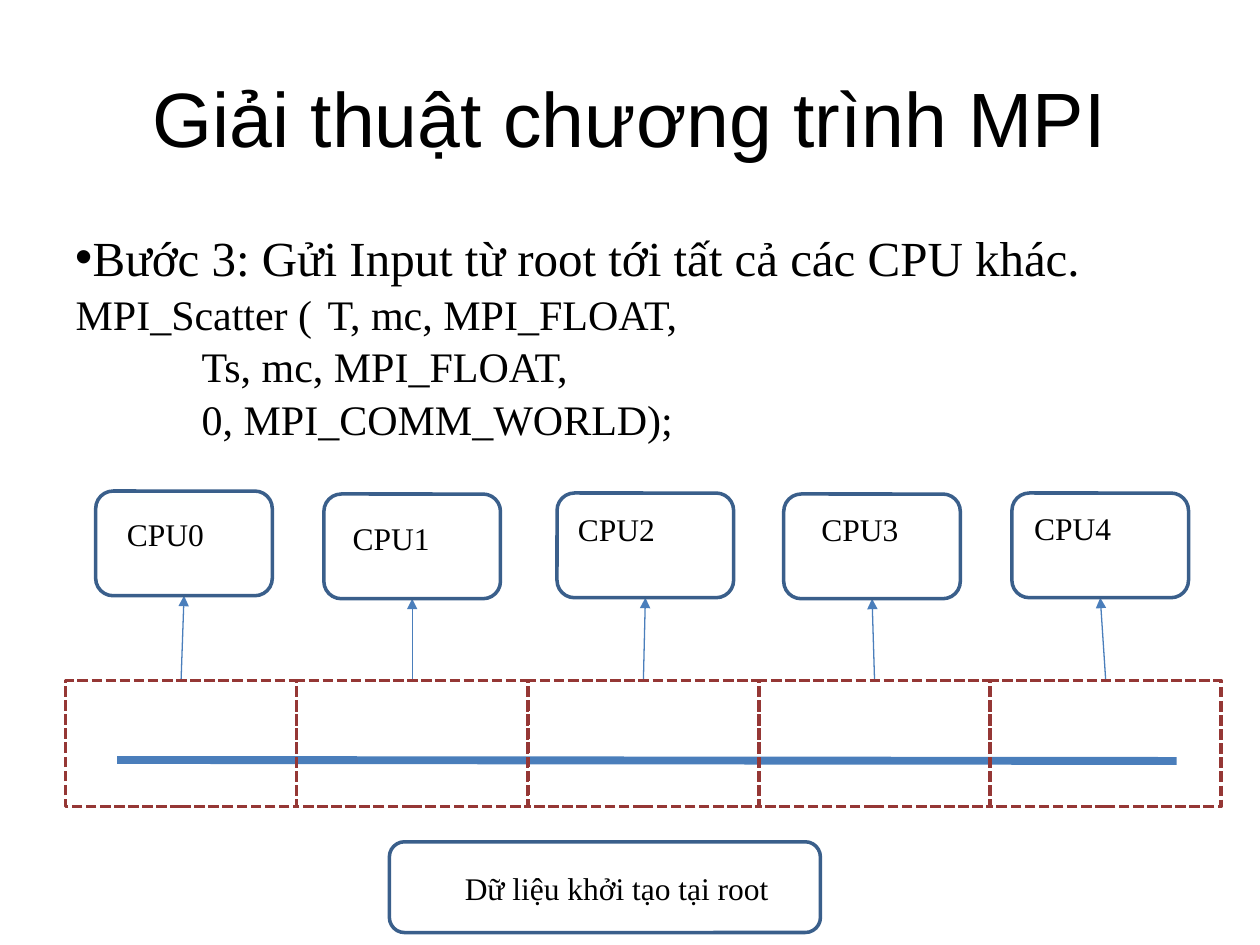
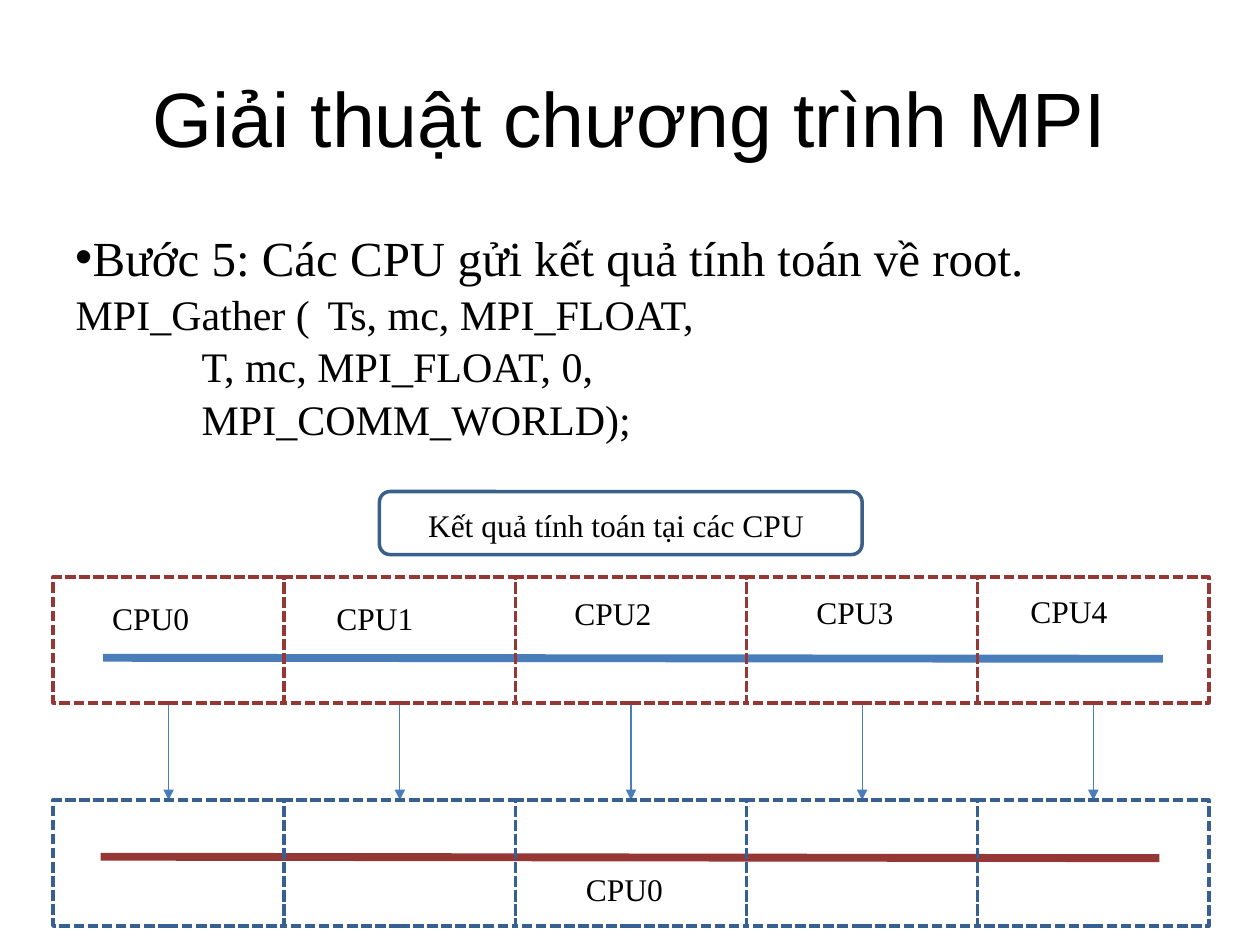
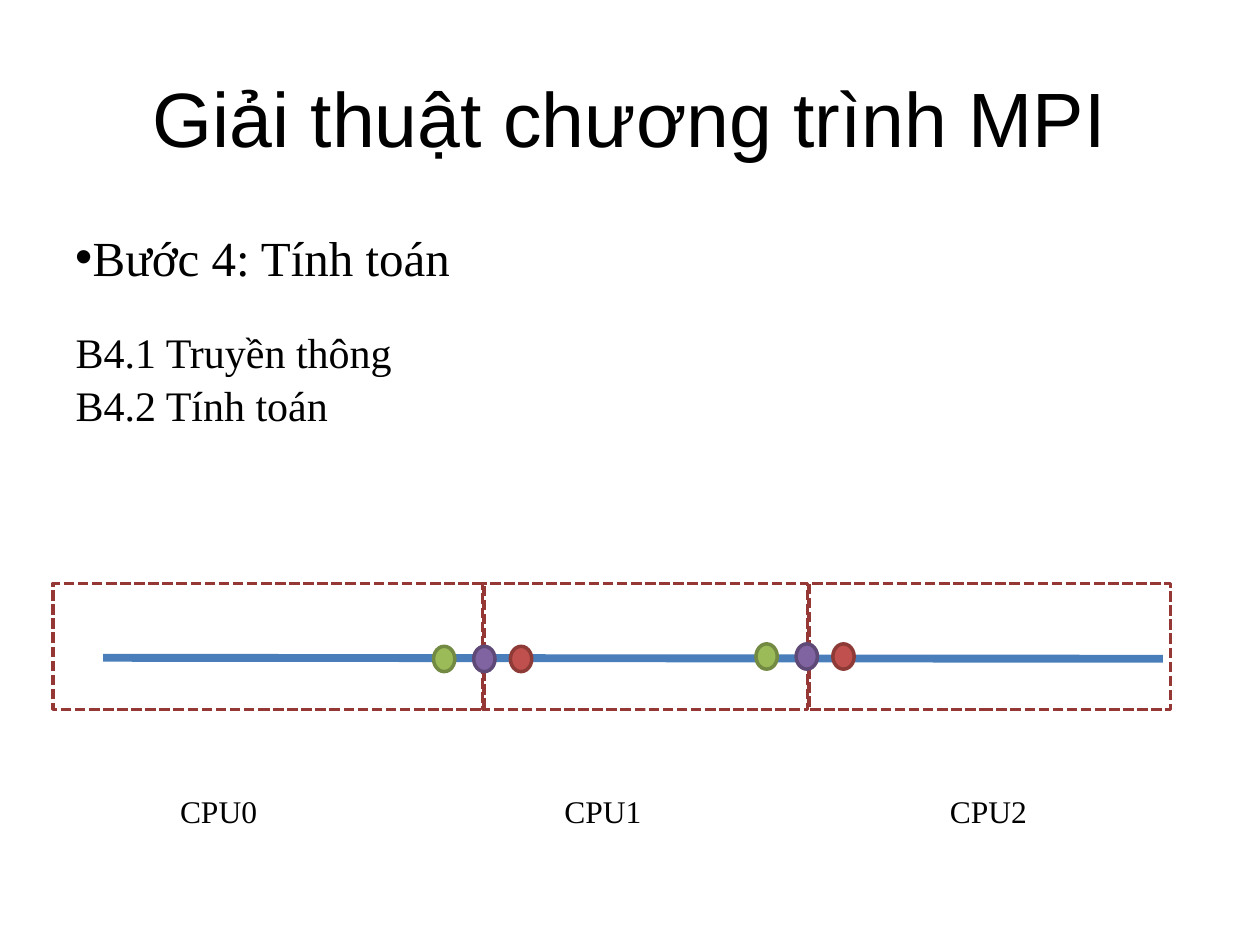
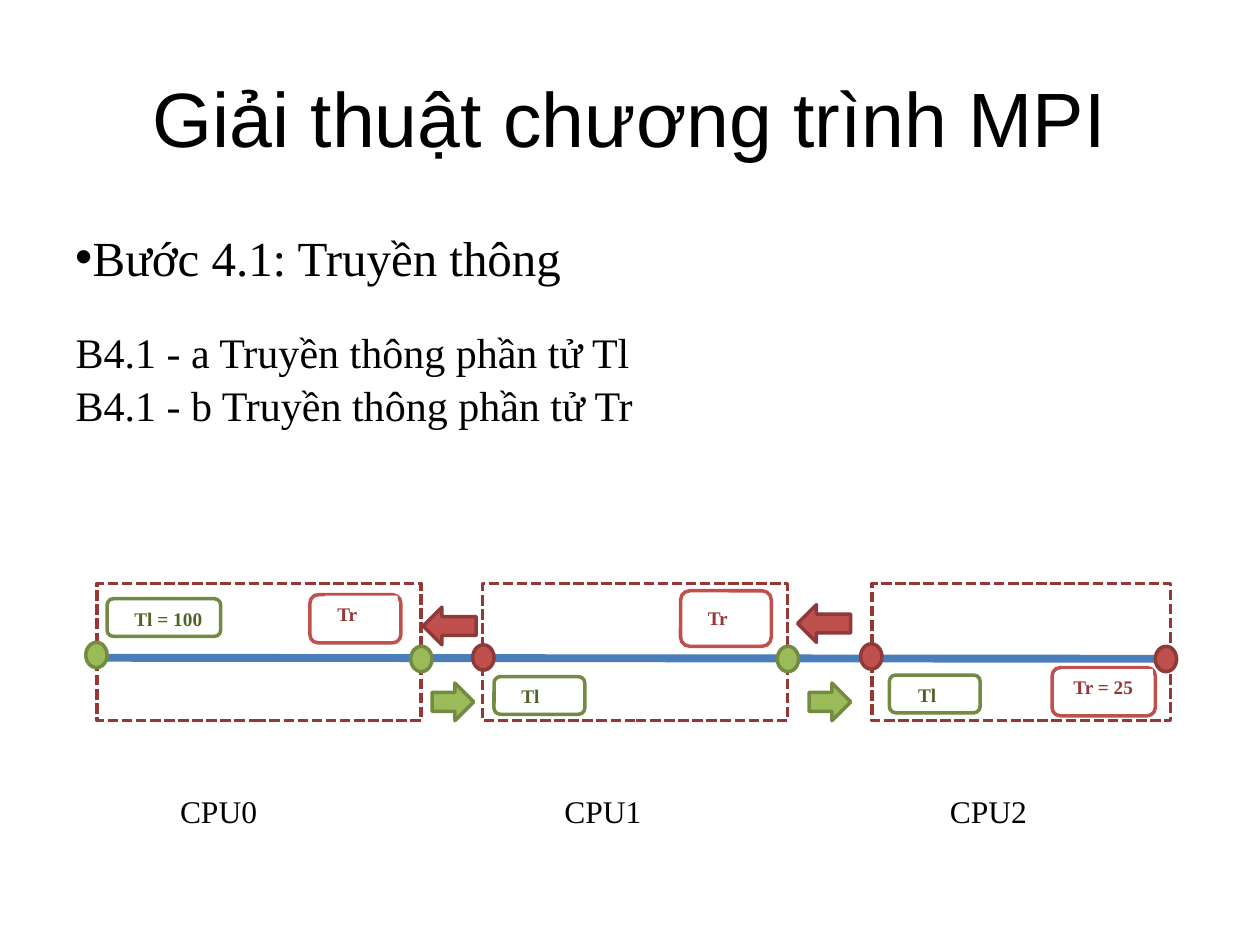
"""Builds four slides that explain the steps of an MPI program."""
from lxml import etree
from pptx import Presentation
from pptx.dml.color import RGBColor
from pptx.enum.dml import MSO_LINE
from pptx.enum.shapes import MSO_CONNECTOR, MSO_SHAPE
from pptx.enum.text import MSO_ANCHOR, MSO_AUTO_SIZE, PP_ALIGN
from pptx.oxml.ns import qn
from pptx.util import Cm, Pt

RECT, ROUNDED, OVAL = MSO_SHAPE.RECTANGLE, MSO_SHAPE.ROUNDED_RECTANGLE, MSO_SHAPE.OVAL
LEFT_ARROW, RIGHT_ARROW = MSO_SHAPE.LEFT_ARROW, MSO_SHAPE.RIGHT_ARROW
DASHED, STRAIGHT = MSO_LINE.SQUARE_DOT, MSO_CONNECTOR.STRAIGHT
CENTER, MIDDLE, NO_FIT = PP_ALIGN.CENTER, MSO_ANCHOR.MIDDLE, MSO_AUTO_SIZE.NONE

COLORS = {
    "text": "000000", "white": "FFFFFF", "rod": "4A7EBB", "border": "3A5F8B",
    "cell": "953735", "root cell": "376092",
    "green": "9BBB59", "green line": "728A41", "green text": "4F6228",
    "purple": "8064A2", "purple line": "5E4977",
    "red": "C0504D", "red line": "8E3B38",
}
RGB = {name: RGBColor.from_string(value) for name, value in COLORS.items()}
SERIF = "Times New Roman"
TITLE_FONT = {"name": "Arial", "size": Pt(44)}
STEP_FONT = {"name": SERIF, "size": Pt(28)}
CODE_FONT = {"name": SERIF, "size": Pt(24)}
LABEL_FONT = {"name": SERIF, "size": Pt(18)}
TAG_FONT = {"name": SERIF, "size": Pt(11), "bold": True}
TITLE = "Giải thuật chương trình MPI"
LINE_GAP, STEP_GAP = Pt(1.3), Pt(23.3)
TAB_STOPS = (Cm(2.54), Cm(5.08))
CELL_WIDTH, CELL_HEIGHT = 4.66, 2.54
DOT_WIDTH, DOT_HEIGHT = 0.43, 0.51

STEPS = [
    ("Bước 3: Gửi Input từ root tới tất cả các CPU khác.", LINE_GAP,
     ["MPI_Scatter (\tT, mc, MPI_FLOAT,", "\t\tTs, mc, MPI_FLOAT,", "\t\t0, MPI_COMM_WORLD);"]),
    ("Bước 5: Các CPU gửi kết quả tính toán về root.", LINE_GAP,
     ["MPI_Gather (\tTs, mc, MPI_FLOAT,", "\t\tT, mc, MPI_FLOAT, 0,", "\t\tMPI_COMM_WORLD);"]),
    ("Bước 4: Tính toán", STEP_GAP, ["B4.1 Truyền thông", "B4.2 Tính toán"]),
    ("Bước 4.1: Truyền thông", STEP_GAP,
     ["B4.1 - a Truyền thông phần tử Tl", "B4.1 - b Truyền thông phần tử Tr"]),
]


def add_box(page, kind, place, line, fill=None, dash=None):
    """Adds an outlined preset shape; place is left, top, width, height in cm."""
    box = page.shapes.add_shape(kind, *[Cm(value) for value in place])
    box.shadow.inherit = False
    box.line.color.rgb = RGB[line]
    box.line.width = Pt(2)
    if dash:
        box.line.dash_style = dash
    if fill:
        box.fill.solid()
        box.fill.fore_color.rgb = RGB[fill]
    else:
        box.fill.background()


def add_label(page, text, place, font=LABEL_FONT, color="text", fill=None):
    """Adds a text box; place is left, top, width, height in cm."""
    box = page.shapes.add_textbox(*[Cm(value) for value in place])
    box.text_frame.word_wrap = True
    if fill:
        box.fill.solid()
        box.fill.fore_color.rgb = RGB[fill]
    span = box.text_frame.paragraphs[0].add_run()
    span.text = text
    span.font.color.rgb = RGB[color]
    for name, value in font.items():
        setattr(span.font, name, value)


deck = Presentation()
deck.slide_width, deck.slide_height = Cm(25.4), Cm(19.05)
pages = []
for step, first_gap, code_lines in STEPS:
    page = deck.slides.add_slide(deck.slide_layouts[1])
    pages.append(page)
    title, body = page.placeholders
    rows = [(title, TITLE, TITLE_FONT, Pt(0)), (body, step, STEP_FONT, LINE_GAP)]
    for index, code in enumerate(code_lines):
        rows.append((body, code, CODE_FONT, LINE_GAP if index else first_gap))
    for box, top, height in ((title, 0.76, 3.18), (body, 4.45, 12.57)):
        box.left, box.top, box.width, box.height = Cm(1.27), Cm(top), Cm(22.86), Cm(height)
        box.text_frame.auto_size = NO_FIT
    title.text_frame.vertical_anchor = MIDDLE
    for box, text, font, gap in rows:
        frame = box.text_frame
        para = frame.add_paragraph() if font is CODE_FONT else frame.paragraphs[0]
        para.space_before, para.line_spacing = gap, 1.0
        span = para.add_run()
        span.text = text
        span.font.color.rgb = RGB["text"]
        for name, value in font.items():
            setattr(span.font, name, value)
        if box is title:
            para.alignment = CENTER
            continue
        settings = para._p.get_or_add_pPr()
        settings.set("marL", "0")
        if font is STEP_FONT:
            settings.set("indent", str(-Cm(0.61)))
            etree.SubElement(settings, qn("a:buChar")).set("char", "•")
        else:
            settings.set("indent", "0")
            etree.SubElement(settings, qn("a:buNone"))
            stops = etree.SubElement(settings, qn("a:tabLst"))
            for position in TAB_STOPS:
                stop = etree.SubElement(stops, qn("a:tab"))
                stop.set("pos", str(position))
                stop.set("algn", "l")
scatter, gather, compute, exchange = pages

scatter_left, gather_left = 1.32, 1.07
cpu_width, cpu_height = 3.56, 2.11
cpu_boxes = [(1.93, 9.9), (6.53, 9.96), (11.23, 9.94), (15.8, 9.96), (20.4, 9.94)]

lines = [
    (scatter, (2.36, 15.32), (23.72, 15.34), "rod", 4.5, False),
    (gather, (2.08, 13.26), (23.44, 13.28), "rod", 4.5, False),
    (gather, (2.03, 17.27), (23.37, 17.3), "cell", 4.5, False),
    (compute, (2.08, 13.26), (23.44, 13.28), "rod", 4.5, False),
    (exchange, (2.08, 13.26), (23.44, 13.28), "rod", 4.5, False),
]
for index, (left, top) in enumerate(cpu_boxes):
    middle = CELL_WIDTH * (index + 0.5)
    lines.append((scatter, (scatter_left + middle, 13.72),
                  (left + cpu_width / 2, top + cpu_height), "rod", 0.75, True))
    lines.append((gather, (gather_left + middle, 14.17),
                  (gather_left + middle, 16.13), "rod", 0.75, True))
for page, start, end, color, width, has_head in lines:
    line = page.shapes.add_connector(STRAIGHT, *[Cm(value) for value in start + end])
    line.line.color.rgb = RGB[color]
    line.line.width = Pt(width)
    if has_head:
        etree.SubElement(line.line._get_or_add_ln(), qn("a:tailEnd")).set("type", "triangle")
    etree.SubElement(line._element.spPr, qn("a:effectLst"))

for page, left, top, color in (
    (scatter, scatter_left, 13.72, "cell"),
    (gather, gather_left, 11.63, "cell"),
    (gather, gather_left, 16.13, "root cell"),
):
    for index in range(5):
        place = (left + index * CELL_WIDTH, top, CELL_WIDTH, CELL_HEIGHT)
        add_box(page, RECT, place, color, dash=DASHED)

for left, top in cpu_boxes:
    add_box(scatter, ROUNDED, (left, top, cpu_width, cpu_height), "border")
add_box(scatter, ROUNDED, (7.85, 16.97, 8.69, 1.83), "border")
add_label(scatter, "Dữ liệu khởi tạo tại root", (9.12, 17.4, 7, 1.78))
add_box(gather, ROUNDED, (7.65, 9.91, 9.73, 1.27), "border")
add_label(gather, "Kết quả tính toán tại các CPU", (8.38, 10.08, 8.36, 1.78))
add_label(gather, "CPU0", (11.56, 17.42, 2.41, 1.02))

three_cpus = [(3.38, 15.85), (11.13, 15.85), (18.9, 15.85)]
for page, corners in (
    (scatter, [(2.31, 10.26), (6.86, 10.34), (11.4, 10.16), (16.31, 10.16), (20.6, 10.13)]),
    (gather, [(2.01, 11.96), (6.53, 11.96), (11.33, 11.86), (16.21, 11.84), (20.52, 11.81)]),
    (compute, three_cpus),
    (exchange, three_cpus),
):
    for index, corner in enumerate(corners):
        add_label(page, f"CPU{index}", (*corner, 3.18, 1.02))

for page, height, spans in (
    (compute, 2.54, [(1.07, 8.69), (9.73, 6.55), (16.31, 7.29)]),
    (exchange, 2.77, [(1.96, 6.53), (9.73, 6.15), (17.58, 6.02)]),
):
    for left, width in spans:
        add_box(page, RECT, (left, 11.76, width, height), "cell", dash=DASHED)

for left, top in ((8.74, 13.03), (15.24, 12.98)):
    for color, offset in (("green", 0), ("purple", 0.81), ("red", 1.55)):
        place = (left + offset, top, DOT_WIDTH, DOT_HEIGHT)
        add_box(compute, OVAL, place, f"{color} line", color)

for kind, color, width, height, corners in (
    (OVAL, "red", DOT_WIDTH, DOT_HEIGHT, [(9.53, 13), (17.35, 12.98), (23.29, 13.03)]),
    (OVAL, "green", DOT_WIDTH, DOT_HEIGHT, [(1.73, 12.95), (8.28, 13.03), (15.67, 13.03)]),
    (LEFT_ARROW, "red", 1.07, 0.76, [(8.53, 12.24), (16.08, 12.19)]),
    (RIGHT_ARROW, "green", 0.84, 0.76, [(8.71, 13.77), (16.31, 13.77)]),
):
    for corner in corners:
        add_box(exchange, kind, (*corner, width, height), f"{color} line", color)

for text, place, text_place in (
    ("Tl = 100", (2.16, 12.07, 2.29, 0.76), (2.46, 12.12, 2.49, 0.71)),
    ("Tl", (9.96, 13.64, 1.83, 0.76), (10.26, 13.67, 1.47, 0.71)),
    ("Tl", (17.93, 13.61, 1.83, 0.76), (18.26, 13.64, 1.47, 0.71)),
):
    add_box(exchange, ROUNDED, place, "green line")
    add_label(exchange, text, text_place, TAG_FONT, "green text")

for text, place, text_place in (
    ("Tr", (6.25, 11.99, 1.83, 0.97), (6.55, 12.01, 1.47, 0.71)),
    ("Tr", (13.72, 11.91, 1.83, 1.12), (14.02, 12.09, 1.47, 0.71)),
    ("Tr = 25", (21.21, 13.46, 2.08, 0.97), (21.39, 13.49, 1.85, 0.71)),
):
    add_box(exchange, ROUNDED, place, "red", "white")
    add_label(exchange, text, text_place, TAG_FONT, "cell", "white")

deck.save("out.pptx")
